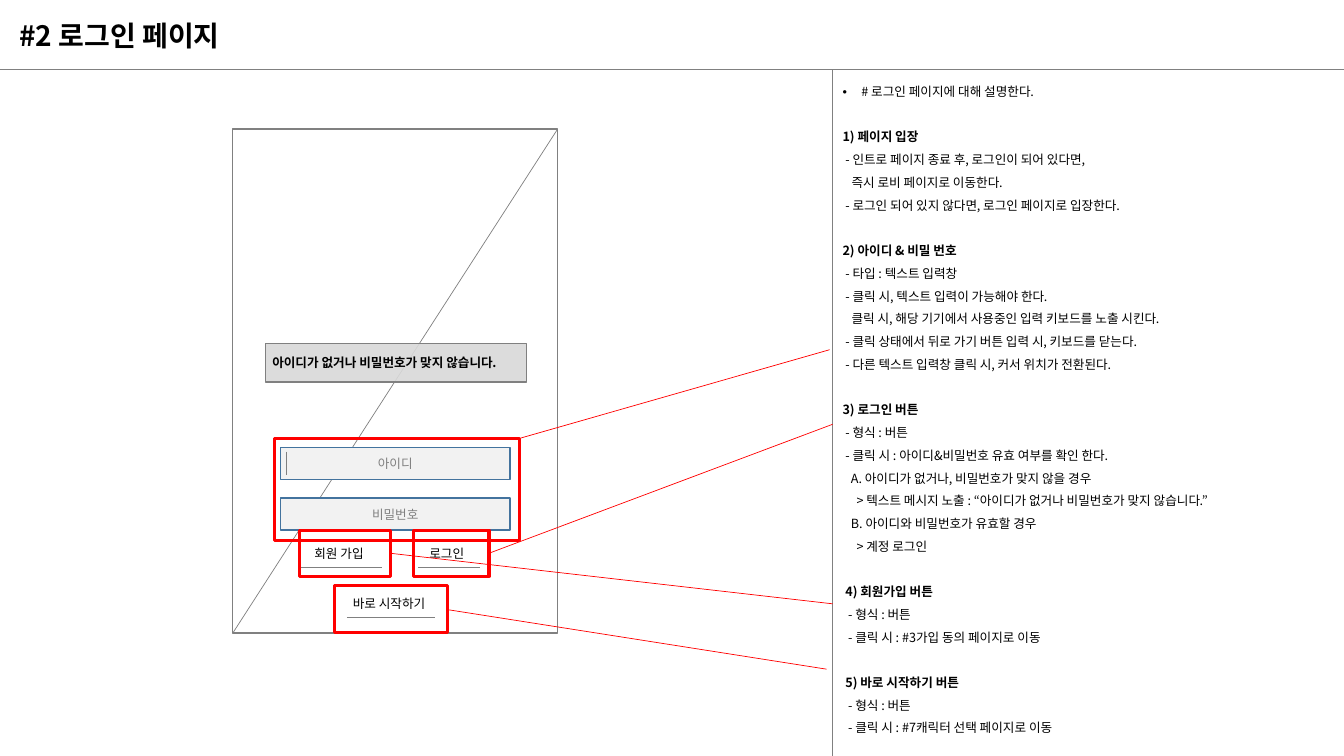
from lxml.etree import SubElement
from pptx import Presentation
from pptx.dml.color import RGBColor
from pptx.enum.shapes import MSO_CONNECTOR, MSO_SHAPE
from pptx.enum.text import MSO_ANCHOR, PP_ALIGN
from pptx.oxml.ns import qn
from pptx.util import Pt

FONT = "Noto Sans CJK KR"
BLACK, GRAY, RED = "000000", "808080", "FF0000"
W, H = 960, 540
HEAD_H, SPLIT_X = 49.7, 594.7

# Notes: (indent in points, lines); the first line of a section is its heading
NOTES = [
    (0, [(0, "1) 페이지 입장"),
         (2, "- 인트로 페이지 종료 후, 로그인이 되어 있다면,"),
         (6.5, "즉시 로비 페이지로 이동한다."),
         (2, "- 로그인 되어 있지 않다면, 로그인 페이지로 입장한다.")]),
    (0, [(0, "2) 아이디 & 비밀 번호"),
         (2, "- 타입 : 텍스트 입력창"),
         (2, "- 클릭 시, 텍스트 입력이 가능해야 한다."),
         (6.5, "클릭 시, 해당 기기에서 사용중인 입력 키보드를 노출 시킨다."),
         (2, "- 클릭 상태에서 뒤로 가기 버튼 입력 시, 키보드를 닫는다."),
         (2, "- 다른 텍스트 입력창 클릭 시, 커서 위치가 전환된다.")]),
    (0, [(0, "3) 로그인 버튼"),
         (2, "- 형식 : 버튼"),
         (2, "- 클릭 시 : 아이디&비밀번호 유효 여부를 확인 한다."),
         (6, "A. 아이디가 없거나, 비밀번호가 맞지 않을 경우"),
         (10, "> 텍스트 메시지 노출 : “아이디가 없거나 비밀번호가 맞지 않습니다.”"),
         (6, "B. 아이디와 비밀번호가 유효할 경우"),
         (10, "> 계정 로그인")]),
    (2, [(0, "4) 회원가입 버튼"),
         (2, "- 형식 : 버튼"),
         (2, "- 클릭 시 : #3가입 동의 페이지로 이동")]),
    (2, [(0, "5) 바로 시작하기 버튼"),
         (2, "- 형식 : 버튼"),
         (2, "- 클릭 시 : #7캐릭터 선택 페이지로 이동")]),
]


def rgb(code):
    return RGBColor.from_string(code)


def set_attrs(obj, values):
    for name, value in values.items():
        setattr(obj, name, value)


def add_run(p, text, size=9, color=BLACK, bold=False):
    r = p.add_run()
    r.text = text
    set_attrs(r.font, {"name": FONT, "size": Pt(size), "bold": bold})
    r.font.color.rgb = rgb(color)
    SubElement(r.font._element, qn("a:ea"), typeface=FONT)


def set_frame(tf, anchor=MSO_ANCHOR.MIDDLE, left=7.2):
    set_attrs(tf, {"word_wrap": True, "vertical_anchor": anchor,
                   "margin_left": Pt(left), "margin_right": Pt(0),
                   "margin_top": Pt(3.6), "margin_bottom": Pt(3.6)})
    return tf


def add_text(s, x, y, w, h, text, **style):
    sp = s.shapes.add_textbox(Pt(x), Pt(y), Pt(w), Pt(h))
    add_run(set_frame(sp.text_frame).paragraphs[0], text, **style)


def add_rect(s, x, y, w, h, line, width=1, fill=None):
    sp = s.shapes.add_shape(MSO_SHAPE.RECTANGLE, Pt(x), Pt(y), Pt(w), Pt(h))
    sp.shadow.inherit = False
    sp.line.color.rgb = rgb(line)
    sp.line.width = Pt(width)
    if fill:
        sp.fill.solid()
        sp.fill.fore_color.rgb = rgb(fill)
    else:
        sp.fill.background()
    return sp


def add_line(s, x1, y1, x2, y2, color=GRAY, width=0.5):
    c = s.shapes.add_connector(MSO_CONNECTOR.STRAIGHT,
                               Pt(x1), Pt(y1), Pt(x2), Pt(y2))
    c.line.color.rgb = rgb(color)
    c.line.width = Pt(width)
    SubElement(c._element.spPr, qn("a:effectLst"))


def add_header(s, x, y, w, h):
    add_line(s, x, y + h, x + w, y + h, width=1)
    add_text(s, x + 6.5, y + 9.4, 351, 31.7, "#2 로그인 페이지", size=20, bold=True)


def add_notes(s, x, y, w, h):
    add_line(s, x, y + h, x, y, width=1)
    sp = s.shapes.add_textbox(Pt(x), Pt(y + 1.4), Pt(w), Pt(h - 1.4))
    tf = set_frame(sp.text_frame, MSO_ANCHOR.TOP)

    # Bulleted lead line
    p = tf.paragraphs[0]
    p.line_spacing = Pt(16.3)
    add_run(p, "# 로그인 페이지에 대해 설명한다.")
    pPr = p._p.get_or_add_pPr()
    pPr.set("marL", str(Pt(13.5)))
    pPr.set("indent", str(-Pt(13.5)))
    SubElement(pPr, qn("a:buFont"), typeface="Arial")
    SubElement(pPr, qn("a:buChar"), char="•")

    # Numbered sections
    for base, lines in NOTES:
        for i, (indent, text) in enumerate(lines):
            p = tf.add_paragraph()
            set_attrs(p, {"line_spacing": Pt(16.3),
                          "space_before": Pt(0 if i else 15.9)})
            p._p.get_or_add_pPr().set("marL", str(Pt(base + indent)))
            add_run(p, text, bold=i == 0)


def add_wireframe(s, x, y, w, h):
    add_rect(s, x, y, w, h, GRAY)
    add_line(s, x + w, y, x, y + h)

    # Input fields and text cursor
    for i, name in enumerate(["아이디", "비밀번호"]):
        sp = add_rect(s, x + 34, y + 227.5 + 36 * i, 164, 23, "43739E", fill="F2F2F2")
        p = set_frame(sp.text_frame, left=0).paragraphs[0]
        p.alignment = PP_ALIGN.CENTER
        add_run(p, name, color=GRAY)
    add_line(s, x + 38.3, y + 230.4, x + 38.3, y + 247)

    # Underlined buttons: text left, text top, line left, line right
    for name, tx, ty, x1, x2 in [("바로 시작하기", 78.6, 329.7, 81.5, 144.1),
                                 ("회원 가입", 51.2, 294.4, 48.4, 106.7),
                                 ("로그인", 133.3, 294, 132.6, 176.5)]:
        add_text(s, x + tx, y + ty, 75, 18, name)
        add_line(s, x + x1, y + ty + 18.9, x + x2, y + ty + 18.9)

    # Red frames, each with a callout from its right edge to the notes
    for fx, fy, fw, fh, start, end_x, end_y in [
            (29.6, 221, 175, 72.7, 0, 592.6, 249.8),
            (129, 286.5, 54, 33.1, 16.5, SPLIT_X, 303.1),
            (47.6, 286.5, 64.8, 33.1, 16.5, SPLIT_X, 431.3),
            (72.8, 326.3, 80.8, 33.1, 17, 590.4, 478)]:
        add_rect(s, x + fx, y + fy, fw, fh, RED, 2.25)
        add_line(s, x + fx + fw, y + fy + start, end_x, end_y, RED)

    # Error message
    sp = add_rect(s, x + 23.2, y + 153.3, 186.5, 27.4, GRAY, fill="D9D9D9")
    clr = sp.fill._xPr.find(qn("a:solidFill"))[0]
    SubElement(clr, qn("a:alpha"), val="90000")
    p = set_frame(sp.text_frame, left=5).paragraphs[0]
    p.alignment = PP_ALIGN.LEFT
    add_run(p, "아이디가 없거나 비밀번호가 맞지 않습니다.", bold=True)


prs = Presentation()
prs.slide_width, prs.slide_height = Pt(W), Pt(H)
s = prs.slides.add_slide(prs.slide_layouts[6])
add_header(s, 0, 0, W, HEAD_H)
add_notes(s, SPLIT_X, HEAD_H, W - SPLIT_X, H - HEAD_H)
add_wireframe(s, 166.3, 92.2, 232, 360)
prs.save("out.pptx")
